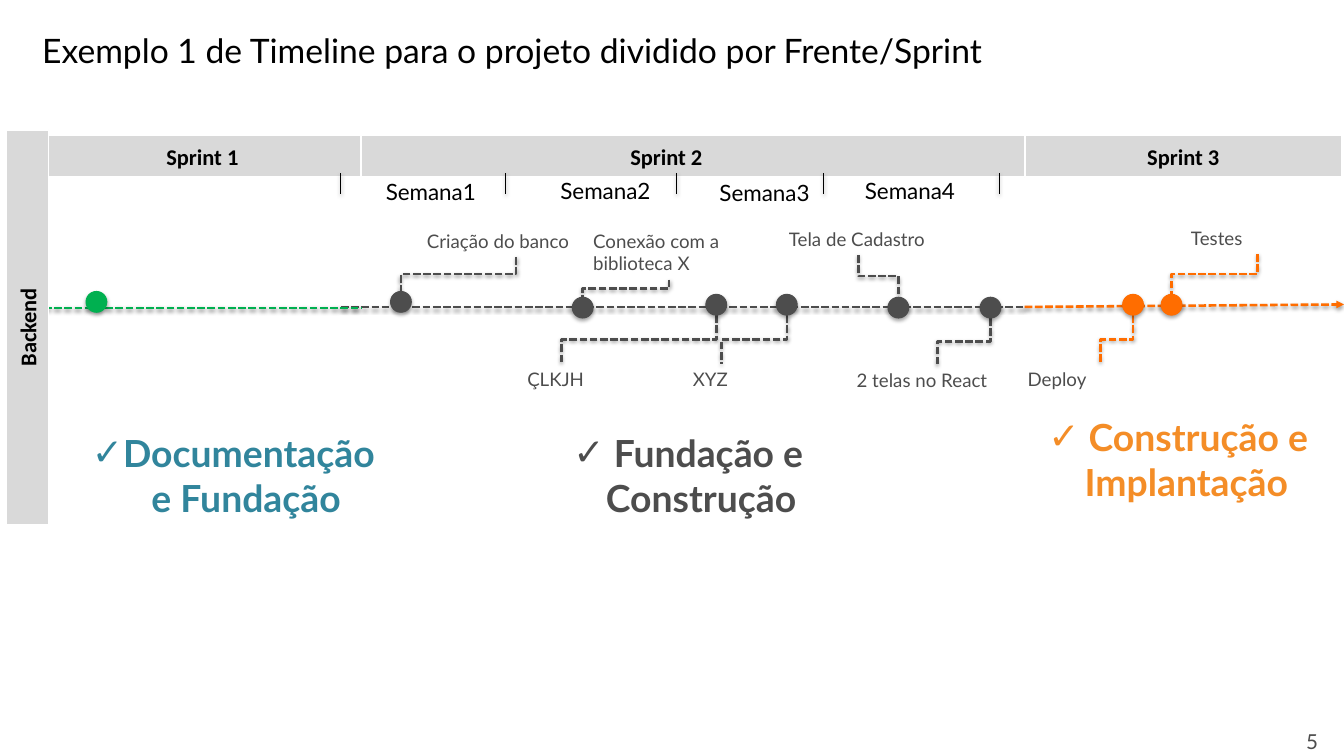
"""Build a one-slide sprint timeline for the backend front."""
from lxml.etree import SubElement
from pptx import Presentation
from pptx.dml.color import RGBColor
from pptx.enum.dml import MSO_LINE as Dash
from pptx.enum.shapes import MSO_CONNECTOR as Link, MSO_SHAPE as Preset
from pptx.enum.text import MSO_ANCHOR as Anchor, PP_ALIGN as Align
from pptx.oxml.ns import qn
from pptx.util import Cm, Pt

COLOURS = {
    "black": "000000", "white": "FFFFFF", "band": "D9D9D9", "grey": "4D4D4D",
    "green": "00B050", "orange": "FF6D00", "teal": "31859C", "amber": "F48D27",
}
FONTS = {
    "title": {"name": "Lato", "size": Pt(26.5), "bold": False},
    "band": {"name": "Calibri", "size": Pt(17.7), "bold": True},
    "week": {"name": "Lato", "size": Pt(17.7)},
    "label": {"name": "Lato", "size": Pt(14.7)},
    "goal": {"name": "Lato", "size": Pt(29.4), "bold": True},
    "number": {"name": "Lato", "size": Pt(16.2)},
}
NO_MARGINS = dict.fromkeys(
    ("margin_left", "margin_top", "margin_right", "margin_bottom"), 0)
DOT = 0.58
BAND_HEIGHT = 1.17
SPRINTS = [("Sprint 2", 8.56, 19.91), ("Sprint 3", 28.47, 8.81), ("Sprint 1", 1.22, 8.81)]
WEEKS = [(10.72, 4.78), (15.57, 4.75), (19.99, 4.8), (24.03, 4.75)]
WEEK_TICKS = [9.47, 14.05, 18.8, 22.89, 27.76]
MILESTONES = [
    ("Criação do banco", "grey", (11.14, 8.39), (14.33, 7.14), (11.61, 6.25, 5.41, 0.86)),
    ("Conexão com a biblioteca X", "grey", (16.19, 8.55), (18.59, 7.77), (16.23, 6.25, 4.7, 1.5)),
    ("ÇLKJH", "grey", (19.9, 8.47), (15.6, 10.11), (14.4, 10.11, 2.36, 0.86)),
    ("XYZ", "grey", (21.86, 8.47), (20.04, 10.11), (19, 10.11, 2.08, 0.86)),
    ("Tela de Cadastro", "grey", (24.96, 8.55), (23.85, 7.09), (21.67, 6.22, 4.37, 1.5)),
    ("2 telas no React", "grey", (27.52, 8.55), (26.04, 10.13), (23.55, 10.13, 4.95, 0.86)),
    ("Deploy", "orange", (31.48, 8.47), (30.58, 10.11), (28.3, 10.11, 4.52, 0.86)),
    ("Testes", "orange", (32.55, 8.47), (34.93, 7.06), (32.84, 6.17, 4.19, 0.86)),
]
GOALS = [
    ("Documentação e Fundação", "teal", (2.08, 11.84, 8.81, 3.99)),
    (" Fundação e Construção", "grey", (14.53, 11.84, 9.19, 2.74)),
    (" Construção e Implantação ", "amber", (28.14, 11.4, 9.19, 3.99)),
]


def colour(name):
    """Return the named colour."""
    return RGBColor.from_string(COLOURS[name])


def set_all(target, values):
    """Set every attribute in a dict on the target."""
    for name, value in values.items():
        setattr(target, name, value)


def cast_shadow(item, opacity, distance):
    """Give a shape or connector a soft shadow below it."""
    effects = SubElement(item._element.spPr, qn("a:effectLst"))
    shadow = SubElement(effects, qn("a:outerShdw"), blurRad=str(Pt(3.1)),
                        dist=str(Pt(distance)), dir="5400000", rotWithShape="0")
    tint = SubElement(shadow, qn("a:srgbClr"), val=COLOURS["black"])
    SubElement(tint, qn("a:alpha"), val=str(opacity * 1000))


def write(item, words, style, tint, frame_values=None, para_values=None):
    """Put one formatted paragraph in an item and return it."""
    frame = item.text_frame
    set_all(frame, {"word_wrap": True, **(frame_values or {})})
    para = frame.paragraphs[0]
    set_all(para, para_values or {})
    span = para.add_run()
    span.text = words
    set_all(span.font, FONTS[style])
    span.font.color.rgb = colour(tint)
    return para


def add_text(page, place, *content):
    """Add a text box and return its paragraph."""
    return write(page.shapes.add_textbox(*map(Cm, place)), *content)


def add_line(page, kind, start, end, tint, width=2, dash=Dash.SQUARE_DOT):
    """Add a shadowed straight or elbow connector."""
    line = page.shapes.add_connector(kind, *map(Cm, (*start, *end)))
    line.line.color.rgb = colour(tint)
    set_all(line.line, {"width": Pt(width), "dash_style": dash})
    cast_shadow(line, 38, 1.6)
    return line


def add_elbow(page, top, bottom, tint):
    """Add an elbow that leaves its top end vertically."""
    middle_x, middle_y = (top[0] + bottom[0]) / 2, (top[1] + bottom[1]) / 2
    half_x, half_y = (top[0] - bottom[0]) / 2, (bottom[1] - top[1]) / 2
    elbow = add_line(page, Link.ELBOW, (middle_x - half_y, middle_y - half_x),
                     (middle_x + half_y, middle_y + half_x), tint)
    elbow._element.spPr.find(qn("a:xfrm")).set("rot", "5400000")


def add_dot(page, centre, tint):
    """Add a round marker on the timeline."""
    x, y = centre
    dot = page.shapes.add_shape(Preset.OVAL, *map(Cm, (x - DOT / 2, y - DOT / 2, DOT, DOT)))
    dot.fill.solid()
    dot.fill.fore_color.rgb = colour(tint)
    dot.line.color.rgb = colour(tint)
    dot.line.width = Pt(0.75)
    cast_shadow(dot, 35, 1.8)


def add_band(page, words, place, rotation=0):
    """Add a grey heading band."""
    band = page.shapes.add_shape(Preset.RECTANGLE, *map(Cm, place))
    band.rotation = rotation
    band.shadow.inherit = False
    band.fill.solid()
    band.fill.fore_color.rgb = colour("band")
    band.line.color.rgb = colour("white")
    band.line.width = Pt(1.5)
    write(band, words, "band", "black",
          {"word_wrap": False, "vertical_anchor": Anchor.MIDDLE}, {"alignment": Align.CENTER})


def add_milestone(page, words, tint, centre, far_end, label_place):
    """Add a marker with its label and the elbow between them."""
    x, y = centre
    if far_end[1] < y:
        add_elbow(page, far_end, (x, y - DOT / 2), tint)
    else:
        add_elbow(page, (x, y + DOT / 2), far_end, tint)
    add_dot(page, centre, tint)
    add_text(page, label_place, words, "label", "grey")


def add_goal(page, words, tint, place):
    """Add a sprint goal with a check mark bullet."""
    para = add_text(page, place, words, "goal", tint, None, {"alignment": Align.CENTER})
    layout = para._p.get_or_add_pPr()
    layout.set("marL", str(Cm(0.71)))
    layout.set("indent", str(Cm(-0.71)))
    SubElement(SubElement(layout, qn("a:buClr")), qn("a:srgbClr"), val=COLOURS[tint])
    SubElement(layout, qn("a:buFont"), typeface="Arial")
    SubElement(layout, qn("a:buChar"), char="✓")


def add_title(page, words):
    """Move and format the title placeholder."""
    title = page.shapes.title
    set_all(title, dict(zip(("left", "top", "width", "height"),
                            map(Cm, (1.17, 0.84, 33.81, 1.12)))))
    write(title, words, "title", "black", {**NO_MARGINS, "vertical_anchor": Anchor.TOP},
          {"alignment": Align.LEFT})


def add_timeline(page):
    """Add the three dashed stretches of the timeline."""
    arrow = add_line(page, Link.STRAIGHT, (28.47, 8.53), (37.34, 8.46), "orange")
    SubElement(arrow.line._get_or_add_ln(), qn("a:tailEnd"), type="triangle")
    add_line(page, Link.STRAIGHT, (9.47, 8.53), (28.42, 8.53), "grey")
    add_line(page, Link.STRAIGHT, (1.22, 8.56), (10.03, 8.56), "green")
    add_dot(page, (2.68, 8.39), "green")


def add_weeks(page):
    """Add the week names and the ticks between them."""
    spacing = {"line_spacing": Pt(26.4), "space_before": Pt(11.8)}
    for number, (left, top) in enumerate(WEEKS, 1):
        add_text(page, (left, top, 2.8, 0.91), f"Semana{number}", "week", "black",
                 NO_MARGINS, spacing)
    for x in WEEK_TICKS:
        add_line(page, Link.STRAIGHT, (x, 4.81), (x, 5.39), "black", 0.75, Dash.SOLID)


def main():
    """Build and save the deck."""
    deck = Presentation()
    set_all(deck, {"slide_width": Cm(37.34), "slide_height": Cm(21.01)})
    page = deck.slides.add_slide(deck.slide_layouts[5])
    add_title(page, "Exemplo 1 de Timeline para o projeto dividido por Frente/Sprint")
    add_timeline(page)
    for words, left, width in SPRINTS:
        add_band(page, words, (left, 3.76, width, BAND_HEIGHT))
    add_band(page, "Backend", (-4.72, 8.51, 10.97, BAND_HEIGHT), 270)
    add_weeks(page)
    for milestone in MILESTONES:
        add_milestone(page, *milestone)
    for goal in GOALS:
        add_goal(page, *goal)
    add_text(page, (36.04, 20.14, 1.88, 1.12), "5", "number", "grey")
    deck.save("out.pptx")


main()
